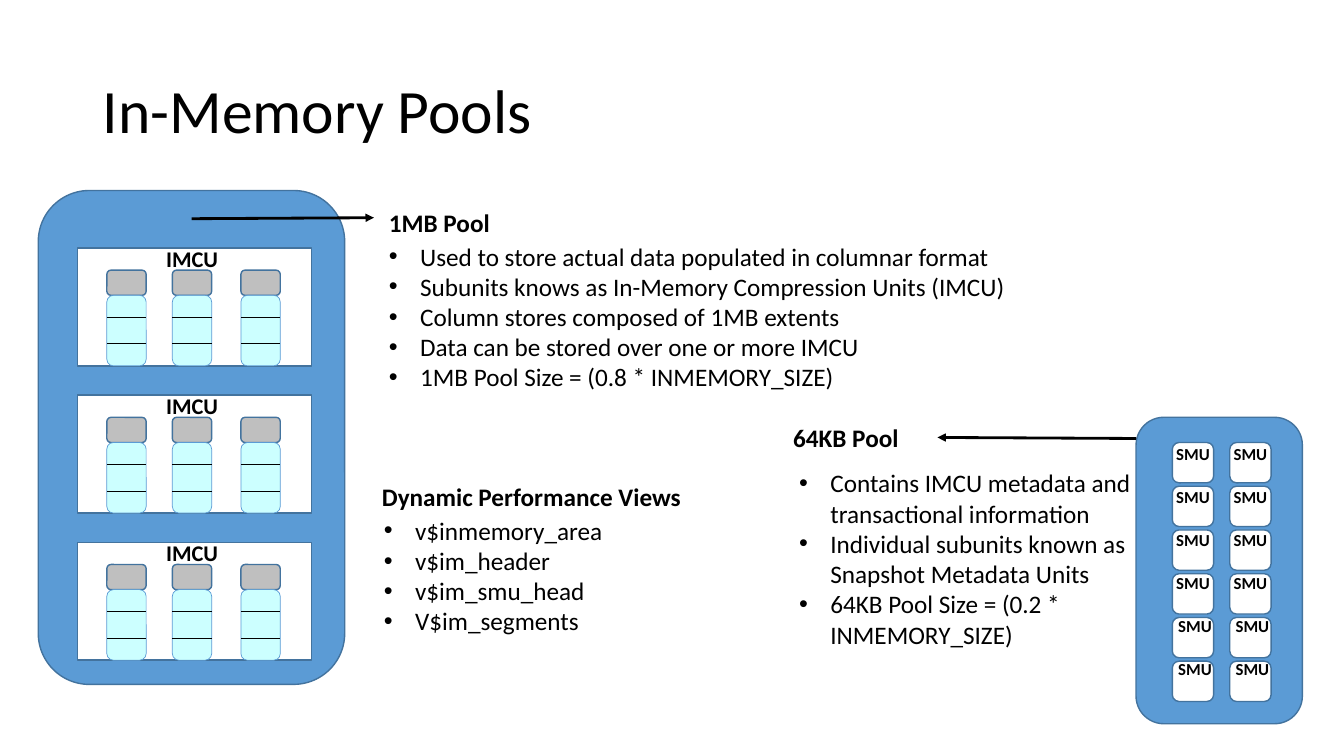
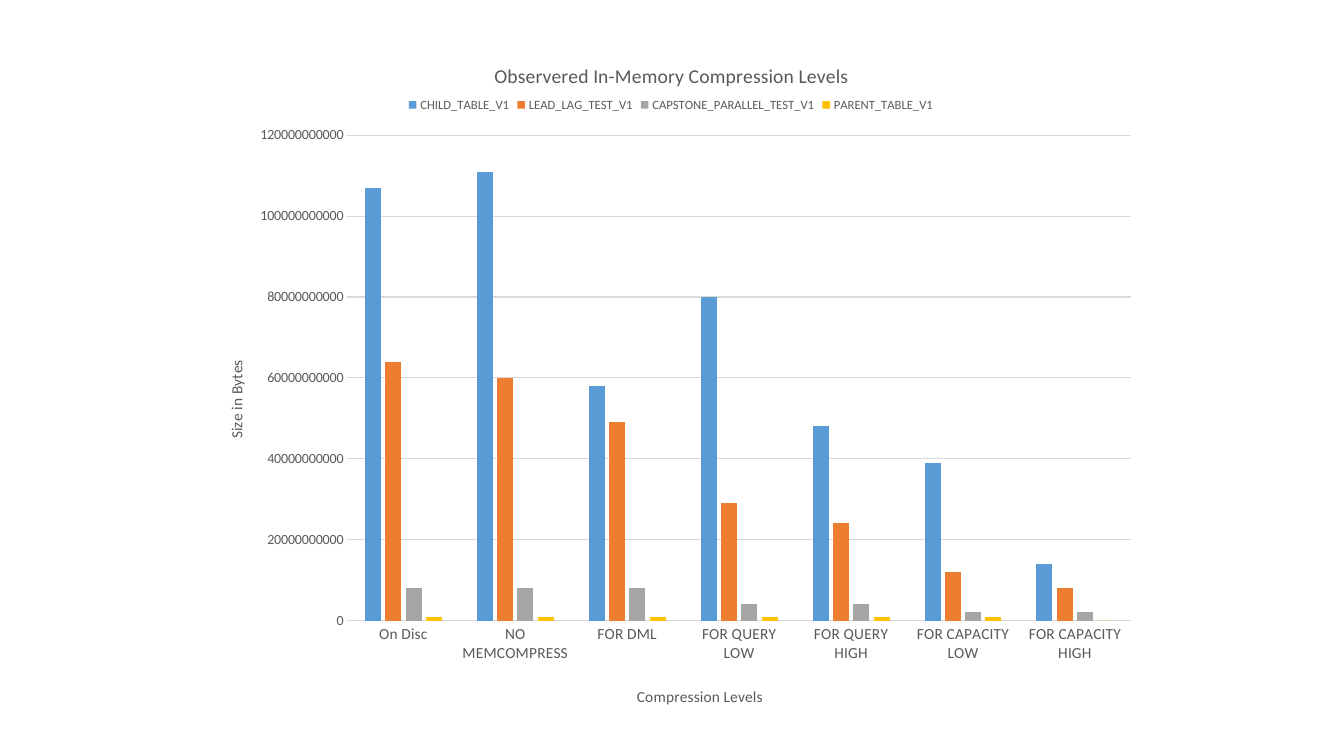
"""Builds two slides on in-memory pools and their compression levels."""
import lxml.etree
import pptx
import pptx.chart.data
import pptx.dml.color
import pptx.enum.chart
import pptx.enum.shapes
import pptx.enum.text
import pptx.oxml.ns
import pptx.util

COLORS = {
    "blue": "5B9BD5", "edge": "43739E", "white": "FFFFFF", "black": "000000",
    "cap": "BFBFBF", "cell": "CCFFFF", "orange": "ED7D31", "gray": "A5A5A5",
    "gold": "FFC000", "label": "595959", "grid": "D9D9D9",
}
RGB = {k: pptx.dml.color.RGBColor.from_string(v) for k, v in COLORS.items()}
FONT = "Calibri"
SHAPE = pptx.enum.shapes.MSO_SHAPE
Pt = pptx.util.Pt
qn = pptx.oxml.ns.qn

prs = pptx.Presentation()
prs.slide_width = pptx.util.Inches(13.333)
prs.slide_height = pptx.util.Inches(7.5)
ROWS = 75
U = prs.slide_height // ROWS


def add_box(shapes, kind, at, fill, line="edge", weight=1):
    sp = shapes.add_shape(kind, *[int(v * U) for v in at])
    sp.shadow.inherit = False
    sp.fill.solid()
    sp.fill.fore_color.rgb = RGB[fill]
    sp.line.color.rgb = RGB[line]
    sp.line.width = Pt(weight)


def add_text(shapes, at, lines, size=18, bold=False, bullets=False):
    tf = shapes.add_textbox(*[int(v * U) for v in at]).text_frame
    tf.word_wrap = True
    tf.text = "\n".join(lines)
    for p in tf.paragraphs:
        p.font.name = FONT
        p.font.size = Pt(size)
        p.font.bold = bold
        p.font.color.rgb = RGB["black"]
        if bullets:
            pPr = p._p.get_or_add_pPr()
            pPr.set("marL", str(int(3.1 * U)))
            pPr.set("indent", str(int(-3.1 * U)))
            mark = lxml.etree.Element(qn("a:buChar"), char="•")
            face = lxml.etree.Element(qn("a:buFont"), typeface="Arial")
            pPr.insert(0, mark)
            pPr.insert(0, face)


s = prs.slides.add_slide(prs.slide_layouts[5])
title = s.shapes.title
title.left, title.top, title.width, title.height = [int(v * U) for v in (9.2, 4, 115, 14.5)]
title.text_frame.text = "In-Memory Pools"
title.text_frame.vertical_anchor = pptx.enum.text.MSO_ANCHOR.MIDDLE
p = title.text_frame.paragraphs[0]
p.alignment = pptx.enum.text.PP_ALIGN.LEFT
p.line_spacing = 0.9
p.font.name = FONT
p.font.size = Pt(44)
p.font.color.rgb = RGB["black"]

for pool in ((3.8, 18.9, 30.4, 49), (112.7, 41.4, 16.5, 30.4)):
    add_box(s.shapes, SHAPE.ROUNDED_RECTANGLE, pool, "blue")

for x in (116.3, 122):
    group = s.shapes.add_group_shape().shapes
    for row in range(6):
        add_box(group, SHAPE.ROUNDED_RECTANGLE, (x, 43.9 + 4.34 * row, 4.1, 4), "white")
    for row in range(6):
        shift = 0.2 if row > 3 else 0
        add_text(group, (x - 0.6 + shift, 43.5 + 4.28 * row, 5.7, 3), ["SMU"], 12, True)

for at, heading in (
    ((37.6, 20.1, 22, 4), "1MB Pool"),
    ((77.7, 41.4, 15.2, 4), "64KB Pool"),
    ((36.9, 47.3, 33.2, 4), "Dynamic Performance Views"),
):
    add_text(s.shapes, at, [heading], bold=True)

for at, items in (
    ((37.6, 23.4, 68.4, 28.3), [
        "Used to store actual data populated in columnar format",
        "Subunits knows as In-Memory Compression Units (IMCU)",
        "Column stores composed of 1MB extents",
        "Data can be stored over one or more IMCU",
        "1MB Pool Size = (0.8 * INMEMORY_SIZE)"]),
    ((78.3, 45.9, 38.7, 28.3), [
        "Contains IMCU metadata and transactional information",
        "Individual subunits known as Snapshot Metadata Units",
        "64KB Pool Size = (0.2 * INMEMORY_SIZE)"]),
    ((37.1, 50.6, 23.9, 13.1), [
        "v$inmemory_area", "v$im_header", "v$im_smu_head", "V$im_segments"]),
):
    add_text(s.shapes, at, items, bullets=True)

rules = []
for unit in range(3):
    left, top = 7.7, 24.6 + 14.6 * unit
    group = s.shapes.add_group_shape().shapes
    add_box(group, SHAPE.RECTANGLE, (left, top, 23.2, 11.7), "white")
    add_text(group, (left + 7.8, top - 0.8, 7.8, 3.7), ["IMCU"], 16, True)
    for offset in (2.9, 9.4, 16.2):
        x = left + offset
        add_box(group, SHAPE.ROUNDED_RECTANGLE, (x, top + 2.2, 3.9, 2.5), "cap")
        add_box(group, SHAPE.ROUNDED_RECTANGLE, (x, top + 4.7, 3.9, 7), "cell", "blue", 0.5)
        for drop in (6.9, 9.5):
            rules.append((group, (x, top + drop, x + 3.9, top + drop), 0.5))

arrows = [(s.shapes, (19, 21.7, 37.1, 21.6), 2), (s.shapes, (112.7, 43.5, 93, 43.4), 2)]
for shapes, ends, weight in rules + arrows:
    line = shapes.add_connector(
        pptx.enum.shapes.MSO_CONNECTOR.STRAIGHT, *[int(v * U) for v in ends])
    line.line.color.rgb = RGB["black"]
    line.line.width = Pt(weight)
    if weight == 2:
        lxml.etree.SubElement(line.line._get_or_add_ln(), qn("a:tailEnd"), type="triangle")
    lxml.etree.SubElement(line._element.spPr, qn("a:effectLst"))

s = prs.slides.add_slide(prs.slide_layouts[6])
BILLION = 10 ** 9
data = pptx.chart.data.CategoryChartData(number_format="0")
data.categories = ["On Disc", "NO MEMCOMPRESS", "FOR DML", "FOR QUERY LOW",
                   "FOR QUERY HIGH", "FOR CAPACITY LOW", "FOR CAPACITY HIGH"]
sizes = {
    "CHILD_TABLE_V1": (107, 111, 58, 80, 48, 39, 14),
    "LEAD_LAG_TEST_V1": (64, 60, 49, 29, 24, 12, 8),
    "CAPSTONE_PARALLEL_TEST_V1": (8, 8, 8, 4, 4, 2, 2),
    "PARENT_TABLE_V1": (1, 1, 1, 1, 1, 1, 0),
}
for name, values in sizes.items():
    data.add_series(name, [v * BILLION for v in values])
chart = s.shapes.add_chart(
    pptx.enum.chart.XL_CHART_TYPE.COLUMN_CLUSTERED,
    *[int(v * U) for v in (19.3, 3.1, 94.8, 68.8)], data).chart
chart.font.name = FONT
chart.font.size = Pt(10)
plot = chart.plots[0]
plot.vary_by_categories = False
plot.gap_width = 219
plot.overlap = -27
for series, color in zip(plot.series, ("blue", "orange", "gray", "gold")):
    series.format.fill.solid()
    series.format.fill.fore_color.rgb = RGB[color]

chart.has_legend = True
legend = chart.legend
legend.position = pptx.enum.chart.XL_LEGEND_POSITION.TOP
legend.include_in_layout = False
cats, vals = chart.category_axis, chart.value_axis
vals.minimum_scale = 0
vals.maximum_scale = 120 * BILLION
vals.major_unit = 20 * BILLION
vals.tick_labels.number_format = "0"
vals.tick_labels.number_format_is_linked = False
vals.format.line.fill.background()
for rule in (cats.format.line, vals.major_gridlines.format.line):
    rule.color.rgb = RGB["grid"]
    rule.width = Pt(0.75)
for axis in (cats, vals):
    axis.major_tick_mark = pptx.enum.chart.XL_TICK_MARK.NONE

for font, size in ((legend.font, 9), (cats.tick_labels.font, 11), (vals.tick_labels.font, 10)):
    font.name = FONT
    font.size = Pt(size)
    font.color.rgb = RGB["label"]

for caption, words, size in (
    (chart.chart_title, "Observered In-Memory Compression Levels", 14),
    (cats.axis_title, "Compression Levels", 11),
    (vals.axis_title, "Size in Bytes", 11),
):
    caption.text_frame.text = words
    font = caption.text_frame.paragraphs[0].runs[0].font
    font.name = FONT
    font.size = Pt(size)
    font.bold = False
    font.color.rgb = RGB["label"]

for part, place in (
    (chart.chart_title._element, {"x": 0.31, "y": 0.04}),
    (legend._element, {"x": 0.22, "y": 0.09}),
    (cats.axis_title._element, {"x": 0.46, "y": 0.94}),
    (vals.axis_title._element, {"x": 0.03, "y": 0.47}),
    (chart._chartSpace.chart.plotArea, {"x": 0.16, "y": 0.15, "w": 0.82, "h": 0.7}),
):
    for old in part.findall(qn("c:layout")):
        part.remove(old)
    layout = lxml.etree.Element(qn("c:layout"))
    manual = lxml.etree.SubElement(layout, qn("c:manualLayout"))
    if "w" in place:
        lxml.etree.SubElement(manual, qn("c:layoutTarget"), val="inner")
    for key in "xy":
        lxml.etree.SubElement(manual, qn(f"c:{key}Mode"), val="edge")
    for key, share in place.items():
        lxml.etree.SubElement(manual, qn(f"c:{key}"), val=str(share))
    overlay = part.find(qn("c:overlay"))
    part.insert(0 if overlay is None else part.index(overlay), layout)

prs.save("out.pptx")
